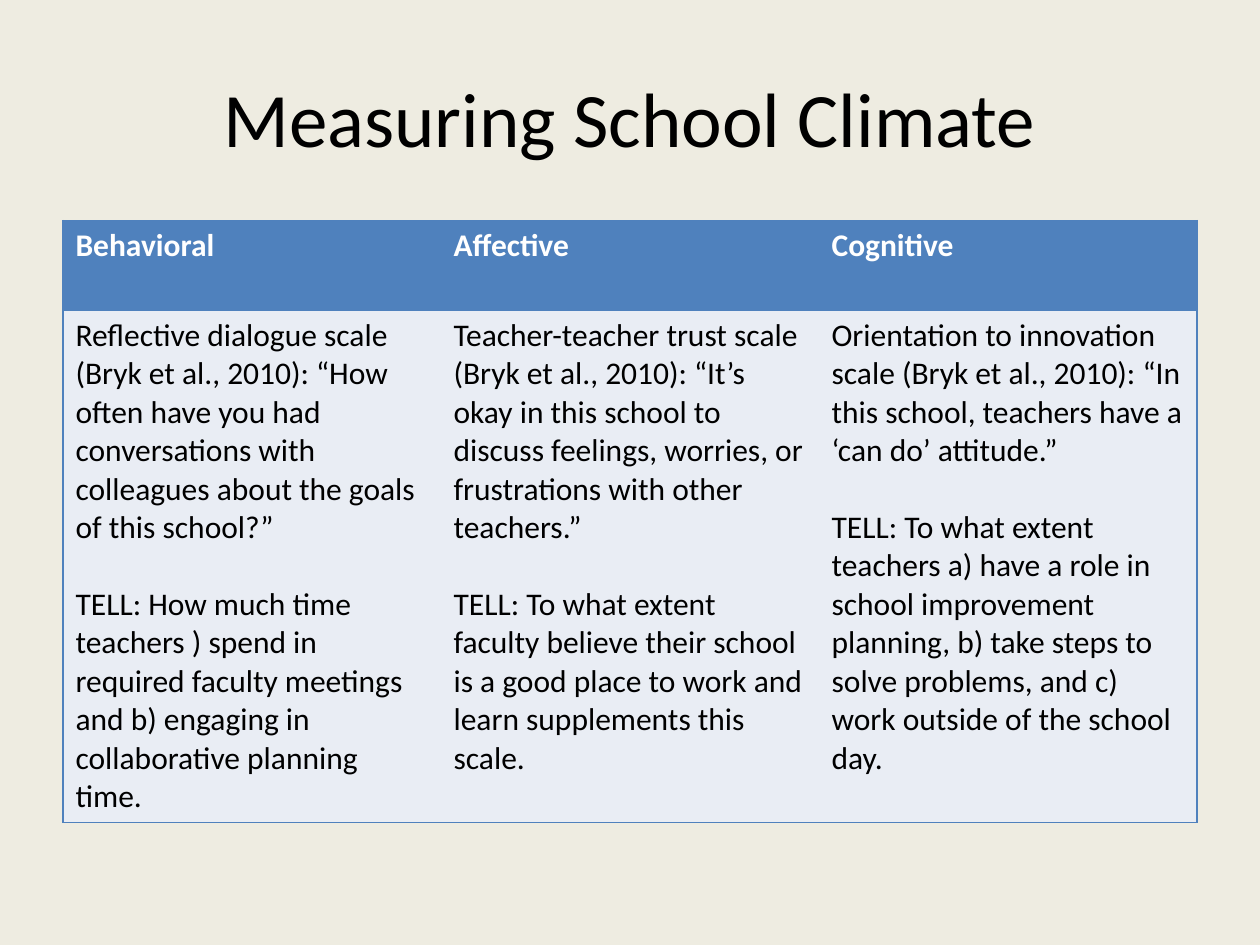
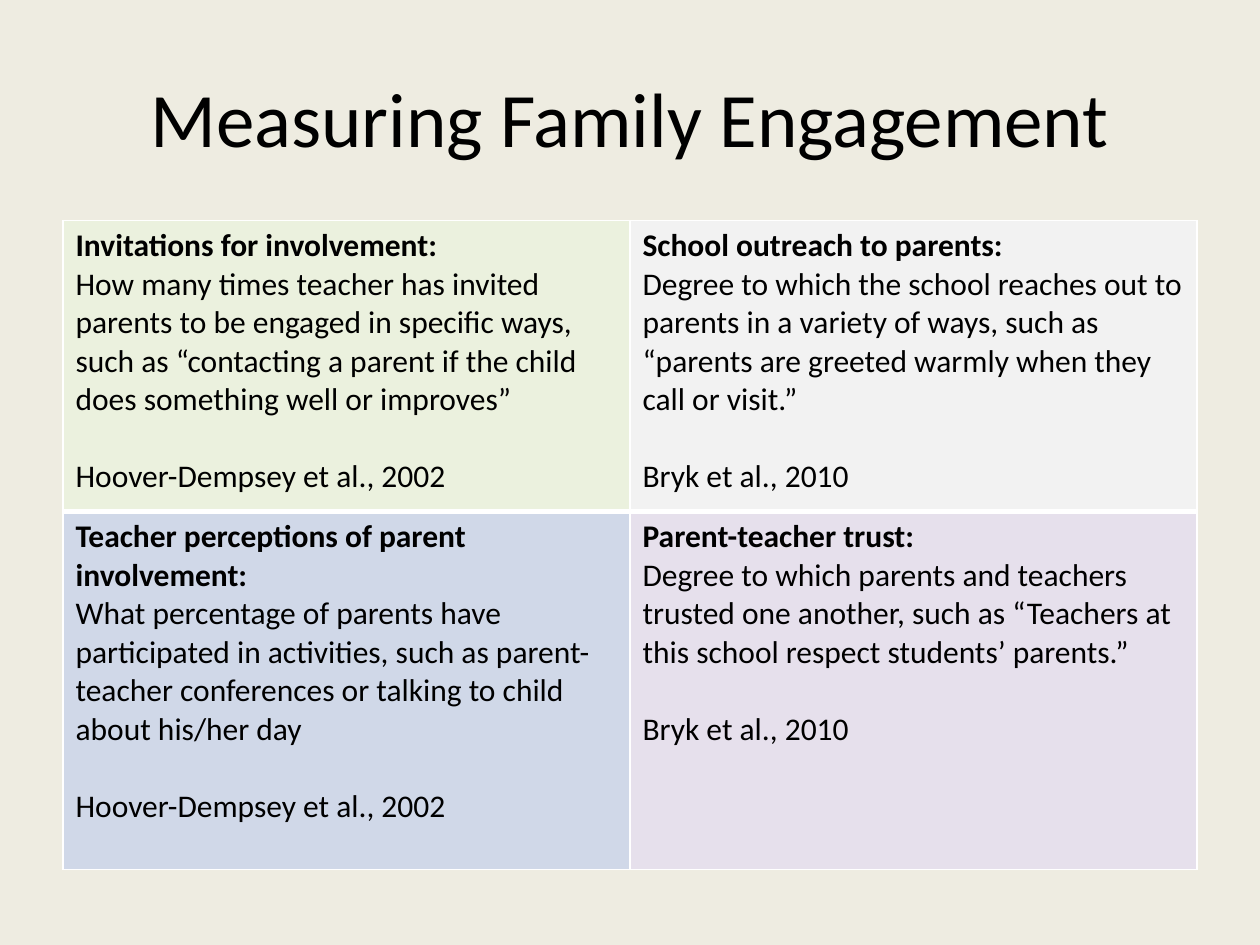
from dataclasses import dataclass

from lxml.etree import SubElement
from pptx import Presentation
from pptx.dml.color import RGBColor
from pptx.enum.text import MSO_ANCHOR, PP_ALIGN
from pptx.oxml.ns import qn
from pptx.util import Inches, Pt


@dataclass(frozen=True)
class Theme:
    """Colours, font and sizes shared by the slides."""
    font: str = "Calibri"
    title_size: int = 44
    body_size: int = 18
    line_gap: int = 22
    background: str = "EEECE1"
    text: str = "000000"
    white: str = "FFFFFF"
    header: str = "4F81BD"
    pale_blue: str = "E9EDF4"
    green: str = "EBF1DE"
    grey: str = "F2F2F2"
    blue: str = "D0D8E8"
    purple: str = "E6E0EC"


THEME = Theme()
GRID_UNIT = 0.25
LEFT, WIDTH, TABLE_TOP = 2, 36, 7

CLIMATE_HEADINGS = ["Behavioral", "Affective", "Cognitive"]
CLIMATE_MEASURES = [
    ["Reflective dialogue scale (Bryk et al., 2010): “How often have you had conversations "
     "with colleagues about the goals of this school?”",
     "TELL: How much time teachers ) spend in required faculty meetings and b) engaging in "
     "collaborative planning time."],
    ["Teacher-teacher trust scale (Bryk et al., 2010): “It’s okay in this school to discuss "
     "feelings, worries, or frustrations with other teachers.”",
     "TELL: To what extent faculty believe their school is a good place to work and learn "
     "supplements this scale."],
    ["Orientation to innovation scale (Bryk et al., 2010): “In this school, teachers have a "
     "‘can do’ attitude.”",
     "TELL: To what extent teachers a) have a role in school improvement planning, b) take "
     "steps to solve problems, and c) work outside of the school day."],
]
ENGAGEMENT_MEASURES = [
    [(THEME.green, ["Invitations for involvement:",
                    "How many times teacher has invited parents to be engaged in specific ways, "
                    "such as “contacting a parent if the child does something well or improves”",
                    "Hoover-Dempsey et al., 2002"]),
     (THEME.grey, ["School outreach to parents:",
                   "Degree to which the school reaches out to parents in a variety of ways, "
                   "such as",
                   "“parents are greeted warmly when they call or visit.”",
                   "Bryk et al., 2010"])],
    [(THEME.blue, ["Teacher perceptions of parent involvement:",
                   "What percentage of parents have participated in activities, such as "
                   "parent-teacher conferences or talking to child about his/her day",
                   "Hoover-Dempsey et al., 2002"]),
     (THEME.purple, ["Parent-teacher trust:",
                     "Degree to which parents and teachers trusted one another, such as "
                     "“Teachers at this school respect students’ parents.”",
                     "Bryk et al., 2010"])],
]


def grid(units):
    """Convert grid units to a length."""
    return Inches(units * GRID_UNIT)


def style_paragraph(paragraph, size, color=THEME.text, bold=False):
    """Apply the theme font to every run of a paragraph."""
    for run in paragraph.runs:
        run.font.name = THEME.font
        run.font.size = Pt(size)
        run.font.bold = bold
        run.font.color.rgb = RGBColor.from_string(color)


def add_titled_slide(presentation, title):
    """Add a blank slide with the shared background and title."""
    slide = presentation.slides.add_slide(presentation.slide_layouts[6])
    slide.background.fill.solid()
    slide.background.fill.fore_color.rgb = RGBColor.from_string(THEME.background)
    text_frame = slide.shapes.add_textbox(grid(LEFT), grid(1.2), grid(WIDTH), grid(5)).text_frame
    text_frame.word_wrap = True
    text_frame.vertical_anchor = MSO_ANCHOR.MIDDLE
    text_frame.text = title
    paragraph = text_frame.paragraphs[0]
    paragraph.alignment = PP_ALIGN.CENTER
    style_paragraph(paragraph, THEME.title_size)
    return slide


def add_table(slide, row_heights, column_count):
    """Add a plain table of equal columns across the content width."""
    frame = slide.shapes.add_table(len(row_heights), column_count, grid(LEFT), grid(TABLE_TOP),
                                   grid(WIDTH), Inches(sum(row_heights)))
    table = frame.table
    table.first_row = table.horz_banding = False
    for row, height in zip(table.rows, row_heights):
        row.height = Inches(height)
    return table


def set_borders(cell, color, **widths):
    """Draw cell borders in the given widths; a width of zero hides the line."""
    properties = cell._tc.get_or_add_tcPr()
    for side in "LRTB":
        width = widths.get(side, 1)
        line = SubElement(properties, qn(f"a:ln{side}"), w=str(Pt(width)))
        if width:
            SubElement(SubElement(line, qn("a:solidFill")), qn("a:srgbClr"), val=color)
        else:
            SubElement(line, qn("a:noFill"))


def fill_cell(cell, lines, fill, color=THEME.text, bold_lead=False):
    """Write a filled cell whose closing paragraph stands one line apart."""
    cell.fill.solid()
    cell.fill.fore_color.rgb = RGBColor.from_string(fill)
    cell.text_frame.text = "\n".join(lines)
    paragraphs = cell.text_frame.paragraphs
    for index, paragraph in enumerate(paragraphs):
        style_paragraph(paragraph, THEME.body_size, color, bold_lead and index == 0)
    if len(paragraphs) > 1:
        paragraphs[-1].space_before = Pt(THEME.line_gap)


def add_climate_slide(presentation):
    """Build the slide with one headed column per climate dimension."""
    slide = add_titled_slide(presentation, "Measuring School Climate")
    last = len(CLIMATE_HEADINGS) - 1
    table = add_table(slide, [0.71, 4.07], last + 1)
    for column, (heading, measures) in enumerate(zip(CLIMATE_HEADINGS, CLIMATE_MEASURES)):
        for row in range(2):
            set_borders(table.cell(row, column), THEME.header,
                        L=int(column == 0), R=int(column == last))
        fill_cell(table.cell(0, column), [heading], THEME.header, THEME.white, bold_lead=True)
        fill_cell(table.cell(1, column), measures, THEME.pale_blue)


def add_engagement_slide(presentation):
    """Build the slide with a two by two grid of engagement measures."""
    slide = add_titled_slide(presentation, "Measuring Family Engagement")
    table = add_table(slide, [2.31, 2.84], 2)
    for row, measures in enumerate(ENGAGEMENT_MEASURES):
        divider = {"B" if row == 0 else "T": 3}
        for column, (fill, lines) in enumerate(measures):
            cell = table.cell(row, column)
            set_borders(cell, THEME.white, **divider)
            fill_cell(cell, lines, fill, bold_lead=True)


def main():
    """Create and save the presentation."""
    presentation = Presentation()
    presentation.slide_width = Inches(10)
    presentation.slide_height = Inches(7.5)
    add_climate_slide(presentation)
    add_engagement_slide(presentation)
    presentation.save("out.pptx")


if __name__ == "__main__":
    main()
